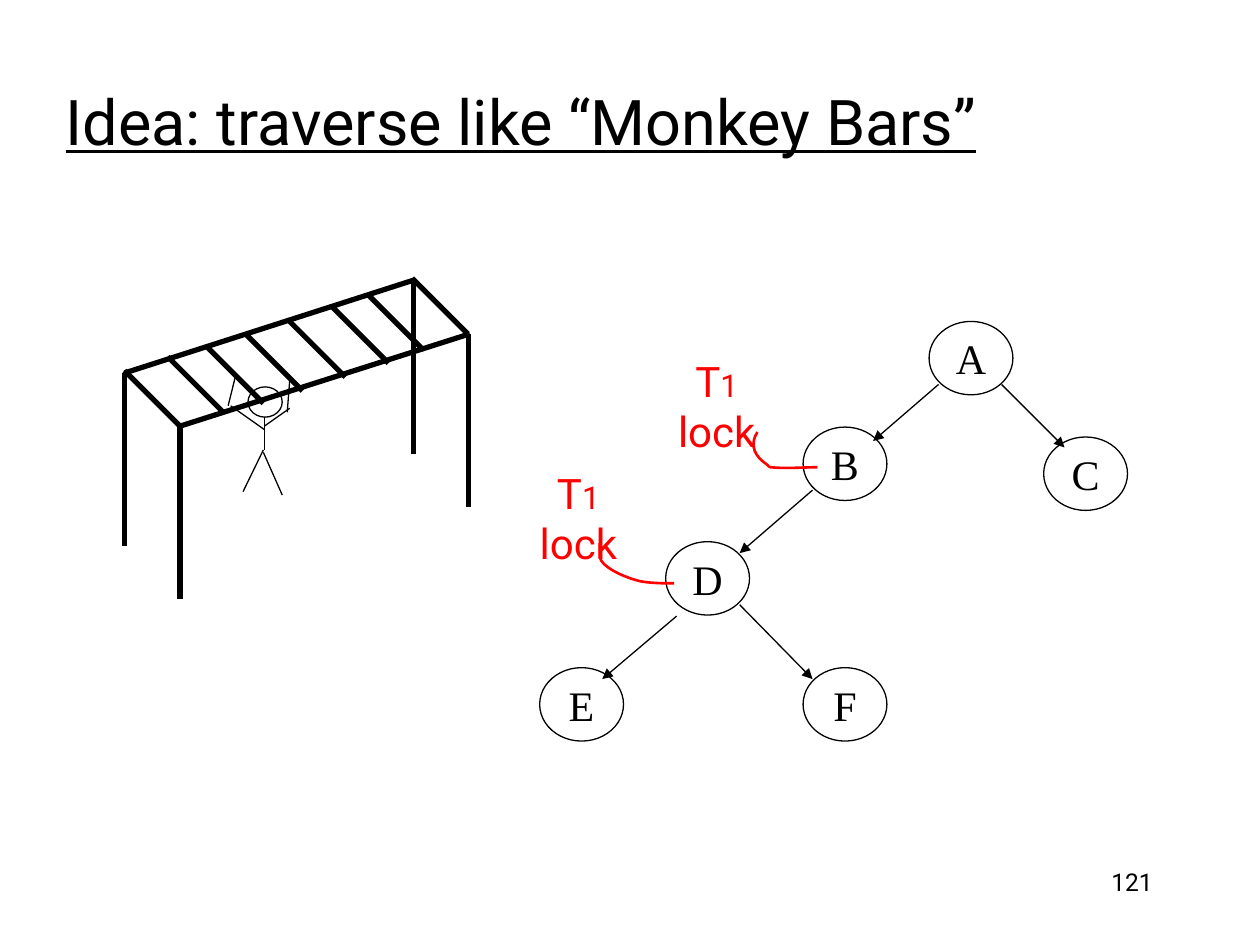
import pptx
import pptx.util
import pptx.dml.color
import pptx.enum.shapes
import pptx.enum.text
from lxml import etree
from pptx.oxml.ns import qn

Cm, Pt = pptx.util.Cm, pptx.util.Pt
RGB = pptx.dml.color.RGBColor
ALIGN = pptx.enum.text.PP_ALIGN
MIDDLE = pptx.enum.text.MSO_ANCHOR.MIDDLE
OVAL = pptx.enum.shapes.MSO_SHAPE.OVAL
BLACK = RGB(0, 0, 0)
WHITE = RGB(255, 255, 255)
RED = RGB(255, 0, 0)

deck = pptx.Presentation()
deck.slide_width, deck.slide_height = Cm(25.4), Cm(19.05)
slide = deck.slides.add_slide(deck.slide_layouts[5])
shapes = slide.shapes


def draw(start, end, width=0.75, arrow=False):
    """Add a black line between two points given in cm."""
    line = shapes.add_connector(
        pptx.enum.shapes.MSO_CONNECTOR.STRAIGHT,
        *[Cm(v) for v in (*start, *end)])
    line.line.color.rgb = BLACK
    line.line.width = Pt(width)
    props = line._element.spPr
    if arrow:
        etree.SubElement(props.find(qn("a:ln")), qn("a:tailEnd"), type="triangle")
    etree.SubElement(props, qn("a:effectLst"))


def circle(left, top, width, height):
    """Add a white oval with a thin black outline, in cm."""
    oval = shapes.add_shape(OVAL, Cm(left), Cm(top), Cm(width), Cm(height))
    oval.shadow.inherit = False
    oval.fill.solid()
    oval.fill.fore_color.rgb = WHITE
    oval.line.color.rgb = BLACK
    oval.line.width = Pt(0.75)
    return oval


# Title
title = shapes.title
title.left, title.top, title.width, title.height = Cm(1.07), Cm(1.14), Cm(21.59), Cm(2.57)
frame = title.text_frame
frame.text = "Idea: traverse like “Monkey Bars”"
frame.auto_size = pptx.enum.text.MSO_AUTO_SIZE.NONE
frame.vertical_anchor = MIDDLE
par = frame.paragraphs[0]
par.alignment = ALIGN.LEFT
par.font.name, par.font.size = "Roboto", Pt(36)
par.font.underline = True
par.font.color.rgb = BLACK

# Page number
box = shapes.add_textbox(Cm(18.21), Cm(17.35), Cm(5.28), Cm(1.27))
box.text_frame.word_wrap = True
par = box.text_frame.paragraphs[0]
par.text = "121"
par.alignment = ALIGN.RIGHT
par.font.name, par.font.size = "Roboto", Pt(14)
par.font.color.rgb = BLACK

# Stick figure
circle(5, 7.8, 0.69, 0.61)
limbs = [
    ((5.33, 8.41), (5.33, 9.07)),
    ((5.31, 9.07), (4.9, 9.91)),
    ((5.31, 9.12), (5.69, 9.98)),
    ((5.33, 8.66), (4.65, 8.18)),
    ((4.6, 8.18), (4.75, 7.57)),
    ((5.33, 8.59), (5.84, 8.23)),
    ((5.79, 8.31), (5.84, 7.67)),
]
for start, end in limbs:
    draw(start, end)

# Monkey bars: posts, rails and rungs
for x, y in [(3.63, 8.59), (9.45, 6.73), (2.51, 7.52), (8.33, 5.66)]:
    draw((x, y), (x, y + 3.49), 3)
draw((9.47, 6.73), (3.63, 8.59), 3)
draw((8.36, 5.64), (2.51, 7.52), 3)
rungs = [(2.51, 7.47), (3.38, 7.19), (4.19, 7.01), (4.98, 6.76),
         (5.84, 6.48), (6.71, 6.2), (7.42, 5.94), (8.31, 5.61)]
for x, y in rungs:
    draw((x, y), (x + 1.12, y + 1.12), 3)

# Tree
nodes = {"A": (18.73, 6.48), "B": (16.19, 8.61), "C": (21.04, 8.81),
         "D": (13.42, 10.92), "E": (10.88, 13.46), "F": (16.19, 13.46)}
for name, (x, y) in nodes.items():
    frame = circle(x, y, 1.69, 1.48).text_frame
    frame.word_wrap = False
    frame.vertical_anchor = MIDDLE
    par = frame.paragraphs[0]
    par.text = name
    par.alignment = ALIGN.CENTER
    par.font.name, par.font.size = "Times New Roman", Pt(24)
    par.font.color.rgb = BLACK

edges = [
    ((18.92, 7.75), (17.6, 8.89)),
    ((16.38, 9.88), (14.91, 11.15)),
    ((13.64, 12.42), (12.14, 13.69)),
    ((14.91, 12.19), (16.38, 13.69)),
    ((20.19, 7.75), (21.46, 9.02)),
]
for start, end in edges:
    draw(start, end, arrow=True)

# Locks: label corner, then the control points of its Bézier curve
locks = [
    ((10.11, 9.8),
     [(13.59, 11.76), (13.39, 11.76), (13.18, 11.76), (12.98, 11.73),
      (12.78, 11.71), (12.14, 11.48), (12.09, 11.23),
      (12.09, 11.13), (12.09, 11.03), (12.09, 10.95)]),
    ((12.9, 7.54),
     [(15.27, 8.71), (15.09, 8.99), (15.24, 9.22), (15.47, 9.37),
      (15.49, 9.4), (15.52, 9.42), (15.54, 9.42),
      (15.85, 9.45), (16.18, 9.42), (16.48, 9.42)]),
]
STEPS = 10
for (left, top), knots in locks:
    box = shapes.add_textbox(Cm(left), Cm(top), Cm(3.1), Cm(1.27))
    frame = box.text_frame
    frame.word_wrap = True
    frame.margin_left = frame.margin_right = Cm(0.5)
    frame.vertical_anchor = MIDDLE
    par = frame.paragraphs[0]
    par.alignment = ALIGN.CENTER
    par.font.name = "Roboto"
    par.font.color.rgb = RED
    for text, size in [("T", 24), ("1", 18), (" lock", 24)]:
        run = par.add_run()
        run.text = text
        run.font.size = Pt(size)

    points = []
    for i in range(0, len(knots) - 1, 3):
        for step in range(1, STEPS + 1):
            t = step / STEPS
            mix = ((1 - t) ** 3, 3 * t * (1 - t) ** 2, 3 * t * t * (1 - t), t ** 3)
            points.append(tuple(
                Cm(sum(m * knot[axis] for m, knot in zip(mix, knots[i:i + 4])))
                for axis in (0, 1)))
    path = shapes.build_freeform(Cm(knots[0][0]), Cm(knots[0][1]))
    path.add_line_segments(points, close=False)
    curve = path.convert_to_shape()
    curve.shadow.inherit = False
    curve.fill.background()
    curve.line.color.rgb = RED
    curve.line.width = Pt(1.5)

deck.save("out.pptx")
